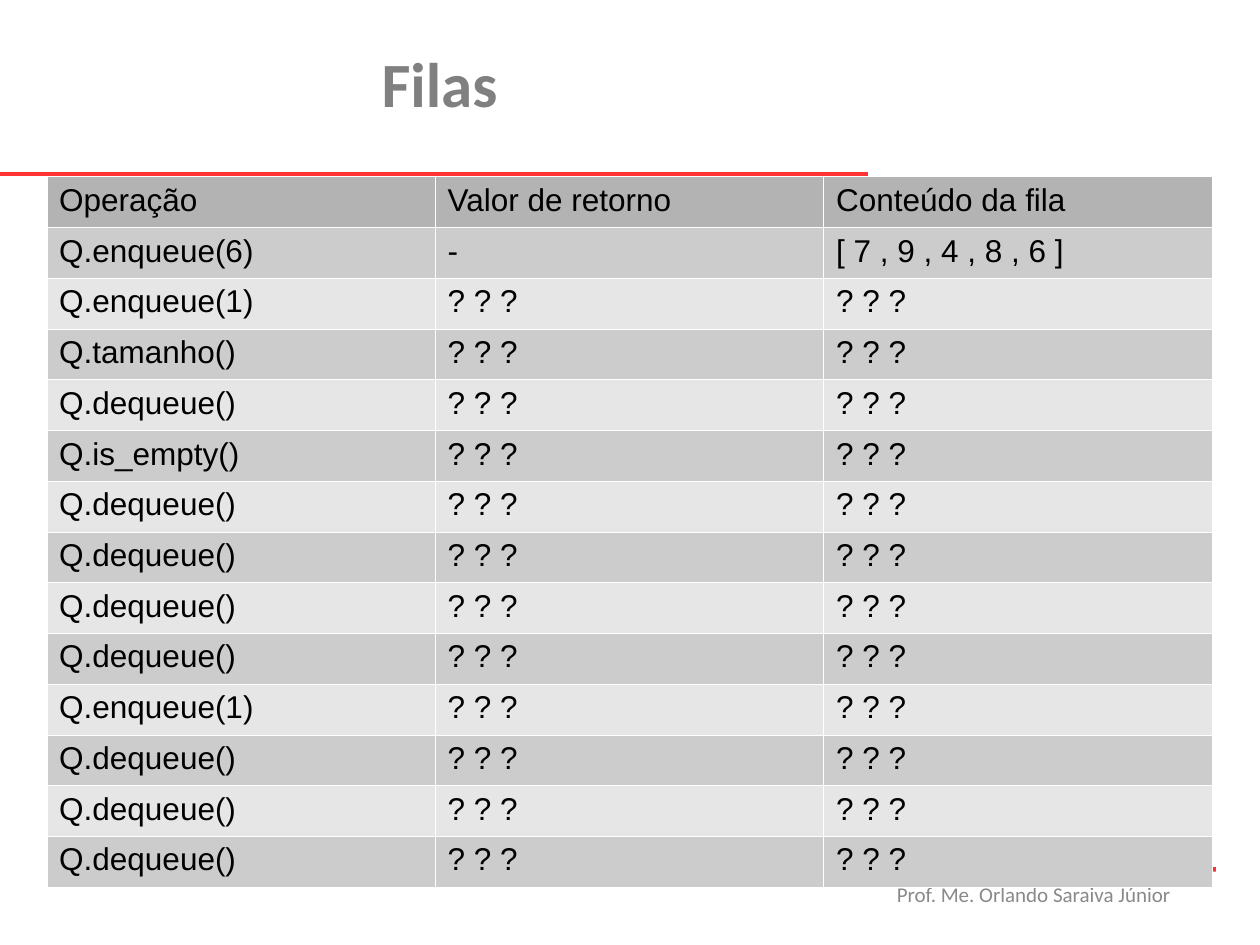
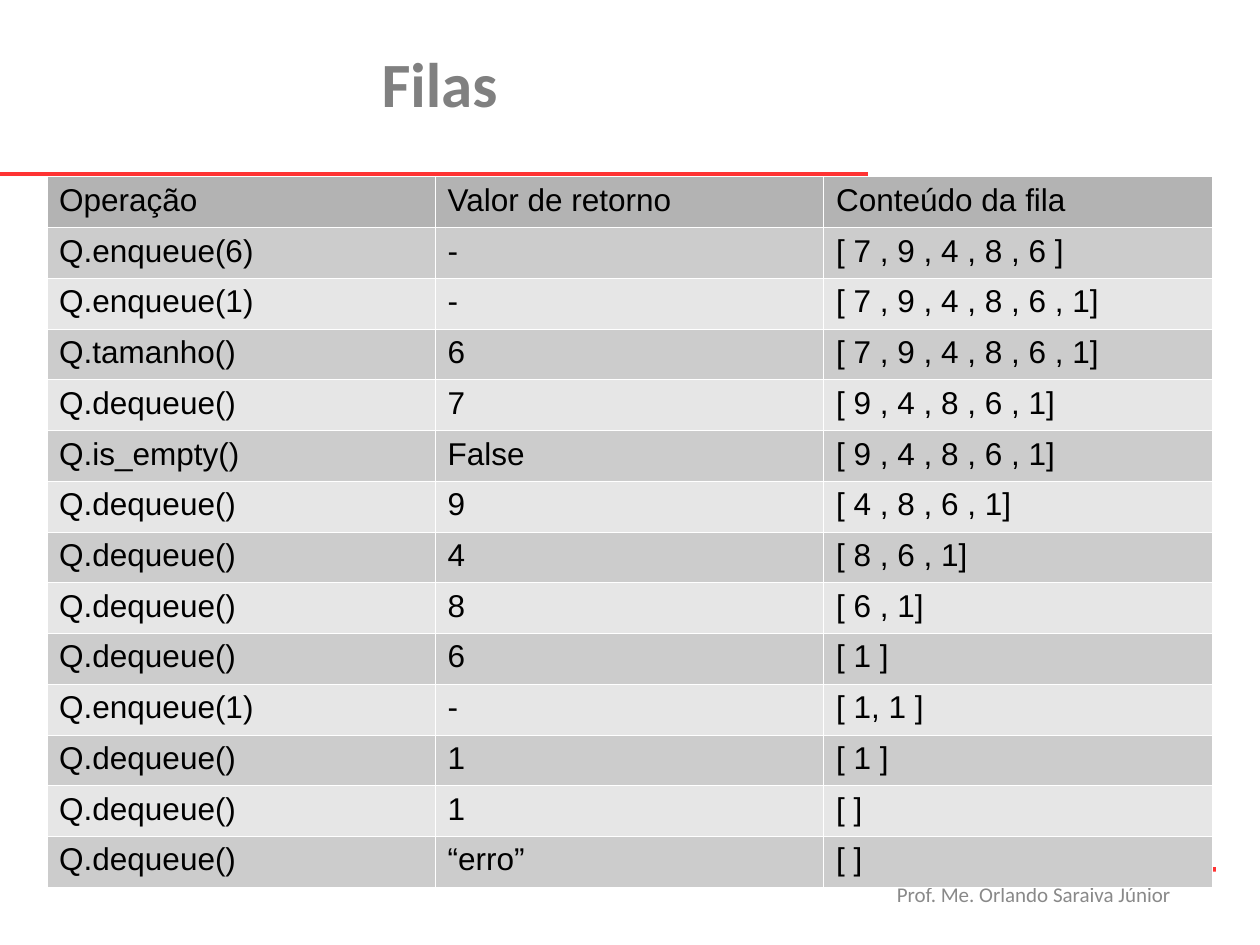
from dataclasses import dataclass

from lxml import etree
from pptx import Presentation
from pptx import util as u
from pptx.dml.color import RGBColor
from pptx.enum import shapes, text
from pptx.oxml import ns

COLORS = {
    "rule": "FF3333",
    "title": "808080",
    "footer": "898989",
    "body": "000000",
    "header": "B3B3B3",
    "odd": "CCCCCC",
    "even": "E6E6E6",
    "border": "FFFFFF",
}

# Page grid: 100 columns by 75 rows
WIDTH, HEIGHT = u.Inches(10), u.Inches(7.5)
COLUMNS, ROWS = 100, 75
BORDER_WIDTH = u.Pt(0.06)


@dataclass(frozen=True)
class Box:
    column: float
    row: float
    columns: float
    rows: float


@dataclass(frozen=True)
class Rule:
    start: tuple[float, float]
    end: tuple[float, float]


@dataclass(frozen=True)
class Font:
    name: str
    size: int
    color: str
    bold: bool = False


@dataclass(frozen=True)
class Step:
    operation: str
    returned: str
    content: str


TITLE_BOX = Box(0, 3, 70.9, 12.5)
FOOTER_BOX = Box(70.2, 69.5, 23.7, 5)
TABLE_BOX = Box(3.7, 14, 92.5, 56.4)
RULES = [Rule((-0.4, 13.8), (68.9, 13.8)), Rule((35.4, 68.9), (96.5, 69))]

TITLE_FONT = Font("Calibri", 36, "title", bold=True)
FOOTER_FONT = Font("Calibri", 12, "footer")
CELL_FONT = Font("Arial", 18, "body")

HEADER = Step("Operação", "Valor de retorno", "Conteúdo da fila")
ANSWERS = [
    Step("Q.enqueue(6)", "-", "[ 7 , 9 , 4 , 8 , 6 ]"),
    Step("Q.enqueue(1)", "-", "[ 7 , 9 , 4 , 8 , 6 , 1]"),
    Step("Q.tamanho()", "6", "[ 7 , 9 , 4 , 8 , 6 , 1]"),
    Step("Q.dequeue()", "7", "[ 9 , 4 , 8 , 6 , 1]"),
    Step("Q.is_empty()", "False", "[ 9 , 4 , 8 , 6 , 1]"),
    Step("Q.dequeue()", "9", "[ 4 , 8 , 6 , 1]"),
    Step("Q.dequeue()", "4", "[ 8 , 6 , 1]"),
    Step("Q.dequeue()", "8", "[ 6 , 1]"),
    Step("Q.dequeue()", "6", "[ 1 ]"),
    Step("Q.enqueue(1)", "-", "[ 1, 1 ]"),
    Step("Q.dequeue()", "1", "[ 1 ]"),
    Step("Q.dequeue()", "1", "[ ]"),
    Step("Q.dequeue()", "“erro”", "[ ]"),
]
# The exercise shows only the first answer
EXERCISE = ANSWERS[:1] + [Step(step.operation, "? ? ?", "? ? ?") for step in ANSWERS[1:]]


def across(columns: float) -> int:
    return round(WIDTH * columns / COLUMNS)


def down(rows: float) -> int:
    return round(HEIGHT * rows / ROWS)


def place(box: Box) -> tuple[int, int, int, int]:
    return across(box.column), down(box.row), across(box.columns), down(box.rows)


def color(name: str) -> RGBColor:
    return RGBColor.from_string(COLORS[name])


def add_run(paragraph, words: str, font: Font) -> None:
    run = paragraph.add_run()
    run.text = words
    run.font.name = font.name
    run.font.size = u.Pt(font.size)
    run.font.bold = font.bold
    run.font.color.rgb = color(font.color)


def add_rule(slide, rule: Rule) -> None:
    (left, top), (right, bottom) = rule.start, rule.end
    connector = slide.shapes.add_connector(
        shapes.MSO_CONNECTOR.STRAIGHT, across(left), down(top), across(right), down(bottom))
    connector.line.color.rgb = color("rule")
    connector.line.width = u.Pt(2.5)
    etree.SubElement(connector._element.spPr, ns.qn("a:effectLst"))


def add_footer(slide) -> None:
    shape = slide.shapes.add_textbox(*place(FOOTER_BOX))
    shape.text_frame.word_wrap = False
    add_run(shape.text_frame.paragraphs[0], "Prof. Me. Orlando Saraiva Júnior", FOOTER_FONT)


def set_title(slide, words: str) -> None:
    title = slide.shapes.title
    title.left, title.top, title.width, title.height = place(TITLE_BOX)
    frame = title.text_frame
    frame.auto_size = text.MSO_AUTO_SIZE.NONE
    frame.vertical_anchor = text.MSO_ANCHOR.TOP
    paragraph = frame.paragraphs[0]
    paragraph.alignment = text.PP_ALIGN.CENTER
    add_run(paragraph, words, TITLE_FONT)


def add_borders(cell) -> None:
    properties = cell._tc.get_or_add_tcPr()
    for side in ("lnL", "lnR", "lnT", "lnB"):
        line = etree.SubElement(properties, ns.qn(f"a:{side}"), w=str(BORDER_WIDTH))
        fill = etree.SubElement(line, ns.qn("a:solidFill"))
        etree.SubElement(fill, ns.qn("a:srgbClr"), val=COLORS["border"])


def fill_cell(cell, words: str, fill: str) -> None:
    add_borders(cell)
    cell.fill.solid()
    cell.fill.fore_color.rgb = color(fill)
    add_run(cell.text_frame.paragraphs[0], words, CELL_FONT)


def add_queue_table(slide, steps: list[Step]) -> None:
    lines = [HEADER, *steps]
    table = slide.shapes.add_table(len(lines), 3, *place(TABLE_BOX)).table
    for index, step in enumerate(lines):
        fill = "header" if index == 0 else "odd" if index % 2 else "even"
        for cell, words in zip(table.rows[index].cells,
                               (step.operation, step.returned, step.content)):
            fill_cell(cell, words, fill)


def add_queue_slide(presentation, steps: list[Step]) -> None:
    slide = presentation.slides.add_slide(presentation.slide_layouts.get_by_name("Title Only"))
    # Shared frame
    for rule in RULES:
        add_rule(slide, rule)
    add_footer(slide)
    # Content; the trailing space belongs to the centred title
    set_title(slide, "Filas ")
    add_queue_table(slide, steps)


def main() -> None:
    presentation = Presentation()
    presentation.slide_width, presentation.slide_height = WIDTH, HEIGHT
    for steps in (EXERCISE, ANSWERS):
        add_queue_slide(presentation, steps)
    presentation.save("out.pptx")


if __name__ == "__main__":
    main()
